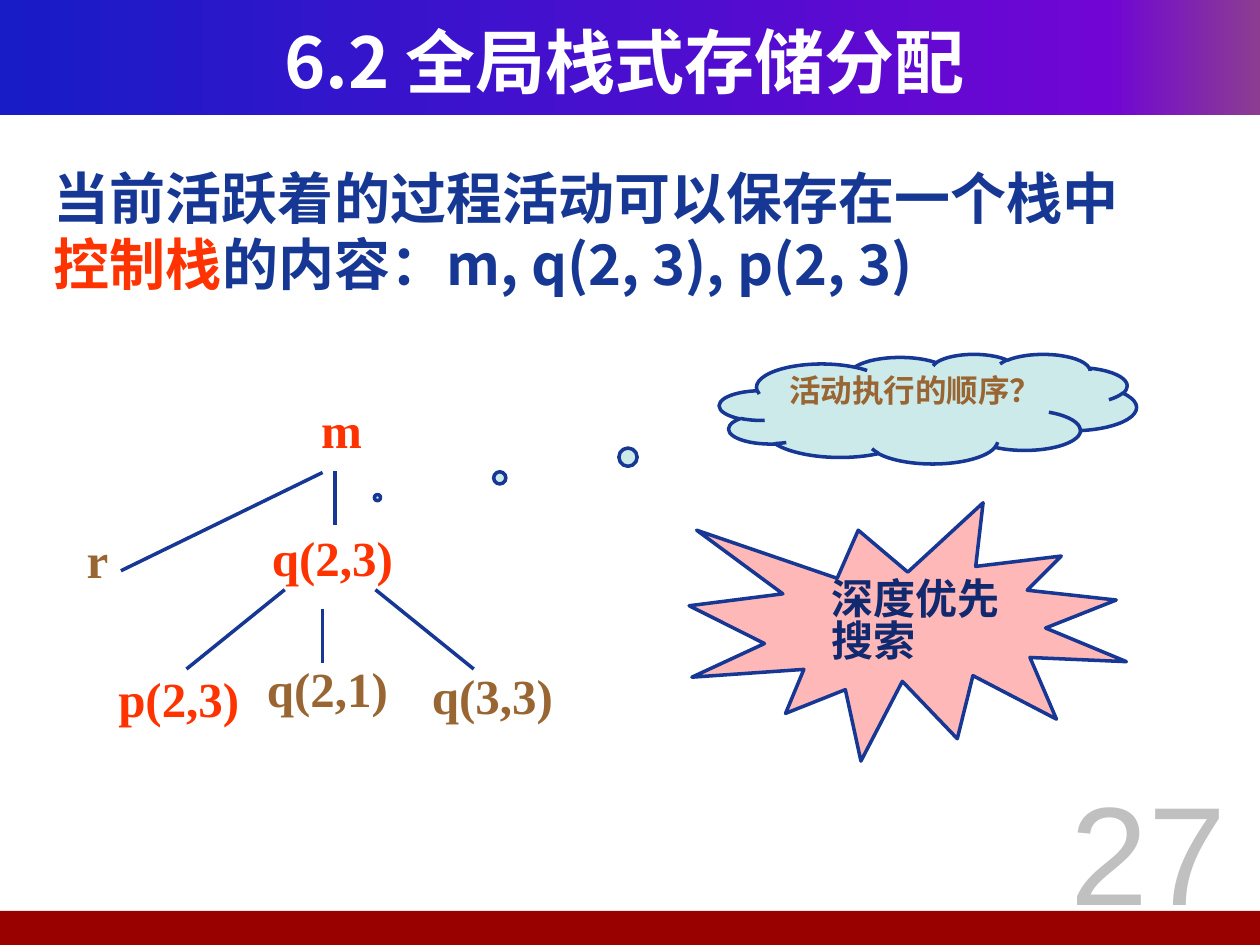
from typing import NamedTuple

from lxml.etree import SubElement
from pptx import Presentation
from pptx.dml.color import RGBColor
from pptx.enum.shapes import MSO_CONNECTOR as Link, MSO_SHAPE as Kind
from pptx.enum.text import MSO_ANCHOR as Anchor, PP_ALIGN as Align
from pptx.oxml.ns import qn
from pptx.util import Inches, Pt

NAVY = RGBColor(0x16, 0x37, 0x94)
INK = RGBColor(0x10, 0x29, 0x6F)
RED = RGBColor(0xFF, 0x33, 0x00)
BROWN = RGBColor(0x99, 0x66, 0x33)
WHITE = RGBColor(0xFF, 0xFF, 0xFF)
GREY = RGBColor(0xC0, 0xC0, 0xC0)
MAROON = RGBColor(0x99, 0x00, 0x00)
TEAL = RGBColor(0x00, 0x99, 0x99)
PINK = RGBColor(0xFF, 0xB8, 0xB8)
BLEND = [(0, "181CC7"), (88000, "7005D4"), (100000, "8C3D91")]
HAN = "Noto Sans CJK SC"


class Box(NamedTuple):
    left: float
    top: float
    width: float
    height: float


class Style(NamedTuple):
    size: float
    color: RGBColor
    face: str = HAN
    bold: bool = True
    align: Align = Align.LEFT
    pitch: float = 1.0
    gap: float = 0


class Node(NamedTuple):
    text: str
    box: Box
    color: RGBColor


class Edge(NamedTuple):
    x1: float
    y1: float
    x2: float
    y2: float


NODES = [
    Node("m", Box(2.45, 3.12, 0.64, 0.66), RED),
    Node("r", Box(0.59, 4.15, 0.63, 0.66), BROWN),
    Node("q(2,3)", Box(2.06, 4.14, 1.25, 0.76), RED),
    Node("p(2,3)", Box(0.84, 5.26, 1.25, 0.76), RED),
    Node("q(2,1)", Box(2.02, 5.18, 1.25, 0.76), BROWN),
    Node("q(3,3)", Box(3.33, 5.23, 1.25, 0.76), BROWN),
]
EDGES = [
    Edge(2.66, 3.74, 2.66, 4.17),
    Edge(2.56, 3.75, 0.96, 4.53),
    Edge(2.56, 4.83, 2.56, 5.26),
    Edge(2.26, 4.68, 1.48, 5.31),
    Edge(2.98, 4.68, 3.76, 5.31),
]


def write(frame, lines: list, style: Style, anchor=Anchor.TOP) -> None:
    """Fill a frame; each line is a list of (text, colour or None) runs."""
    frame.word_wrap = True
    frame.vertical_anchor = anchor
    for i, line in enumerate(lines):
        para = frame.add_paragraph() if i else frame.paragraphs[0]
        para.alignment = style.align
        para.line_spacing = style.pitch
        para.space_before = Pt(style.gap if i else 0)
        font = para.font
        font.size, font.bold, font.name = Pt(style.size), style.bold, style.face
        font.color.rgb = style.color
        props = para._p.pPr.find(qn("a:defRPr"))
        SubElement(props, qn("a:ea")).set("typeface", HAN)
        for text, color in line:
            run = para.add_run()
            run.text = text
            if color is not None:
                run.font.color.rgb = color


def label(shapes, box: Box, lines: list, style: Style, anchor=Anchor.TOP) -> None:
    area = shapes.add_textbox(*map(Inches, box))
    write(area.text_frame, lines, style, anchor)


def block(shapes, kind: Kind, box: Box, fill: RGBColor, edged: bool = False):
    shape = shapes.add_shape(kind, *map(Inches, box))
    shape.shadow.inherit = False
    shape.fill.solid()
    shape.fill.fore_color.rgb = fill
    if edged:
        shape.line.color.rgb = NAVY
        shape.line.width = Pt(2)
    else:
        shape.line.fill.background()
    return shape


def join(shapes, edge: Edge) -> None:
    line = shapes.add_connector(Link.STRAIGHT, *map(Inches, edge))
    line.line.color.rgb = NAVY
    line.line.width = Pt(2)
    SubElement(line._element.spPr, qn("a:effectLst"))


def blend(shape) -> None:
    """Give the shape a left-to-right gradient through all BLEND stops."""
    shape.fill.gradient()
    shape.fill.gradient_angle = 0
    stops = shape._element.spPr.find(qn("a:gradFill")).find(qn("a:gsLst"))
    for old in list(stops):
        stops.remove(old)
    for pos, color in BLEND:
        stop = SubElement(stops, qn("a:gs"))
        stop.set("pos", str(pos))
        SubElement(stop, qn("a:srgbClr")).set("val", color)


def frame(shapes) -> None:
    """Draw the bars, the title and the page number."""
    blend(block(shapes, Kind.RECTANGLE, Box(0, 0, 10, 0.91), NAVY))
    block(shapes, Kind.RECTANGLE, Box(-0.04, 7.23, 10.04, 0.27), MAROON)
    label(shapes, Box(0.33, 0.17, 9.25, 0.62), [[("6.2 全局栈式存储分配", None)]],
          Style(40, WHITE, align=Align.CENTER), Anchor.MIDDLE)
    label(shapes, Box(8.23, 6.03, 1.77, 1.42), [[("27", None)]],
          Style(80, GREY, "Arial", False, Align.CENTER))


def body(shapes) -> None:
    lines = [
        [("当前活跃着的过程活动可以保存在一个栈中", None)],
        [("控制栈", RED), ("的内容：m, q(2, 3), p(2, 3)", None)],
    ]
    label(shapes, Box(0.33, 1.31, 9.33, 1.69), lines,
          Style(32, NAVY, align=Align.JUSTIFY, pitch=0.9, gap=3))


def tree(shapes) -> None:
    group = shapes.add_group_shape().shapes
    for edge in EDGES:
        join(group, edge)
    for node in NODES:
        label(group, node.box, [[(node.text, None)]],
              Style(28, node.color, "Times New Roman", align=Align.JUSTIFY))


def cloud(shapes) -> None:
    shape = block(shapes, Kind.CLOUD_CALLOUT, Box(5.71, 2.81, 3.31, 0.87), TEAL, True)
    shape.adjustments[0] = -1.32
    shape.adjustments[1] = 0.81
    color = shape._element.spPr.find(qn("a:solidFill"))[0]
    SubElement(color, qn("a:alpha")).set("val", "20000")
    write(shape.text_frame, [[("活动执行的顺序？", None)]],
          Style(18, BROWN, "Lato", pitch=0.85))


def burst(shapes) -> None:
    group = shapes.add_group_shape().shapes
    block(group, Kind.EXPLOSION1, Box(5.47, 3.99, 3.47, 2.05), PINK, True)
    label(group, Box(6.5, 4.47, 1.73, 0.95), [[("深度优先", None)], [("搜索", None)]],
          Style(24, INK, pitch=0.84), Anchor.MIDDLE)


def main() -> None:
    deck = Presentation()
    deck.slide_width, deck.slide_height = Inches(10), Inches(7.5)
    shapes = deck.slides.add_slide(deck.slide_layouts[6]).shapes
    for draw in (frame, body, tree, cloud, burst):
        draw(shapes)
    deck.save("out.pptx")


if __name__ == "__main__":
    main()
